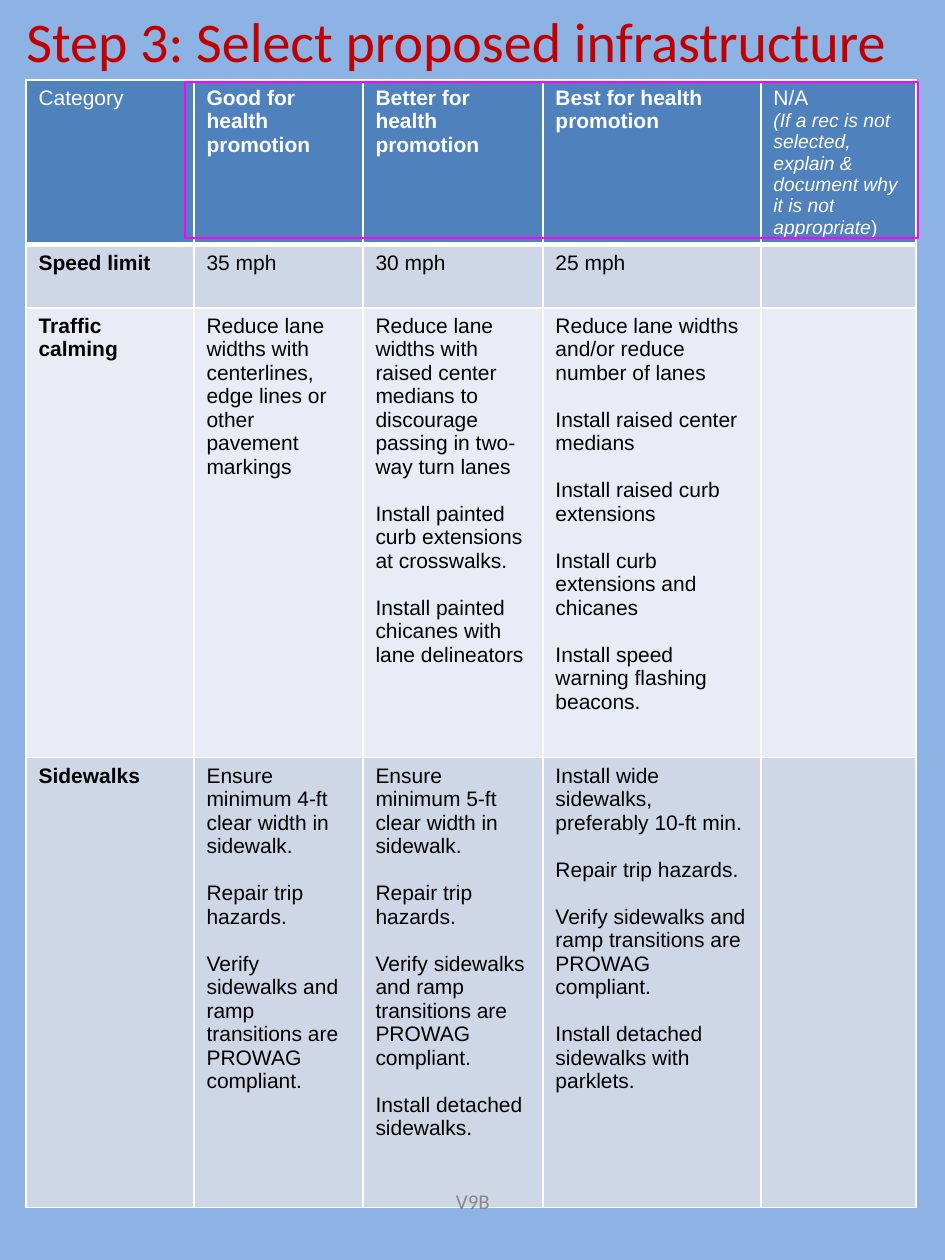
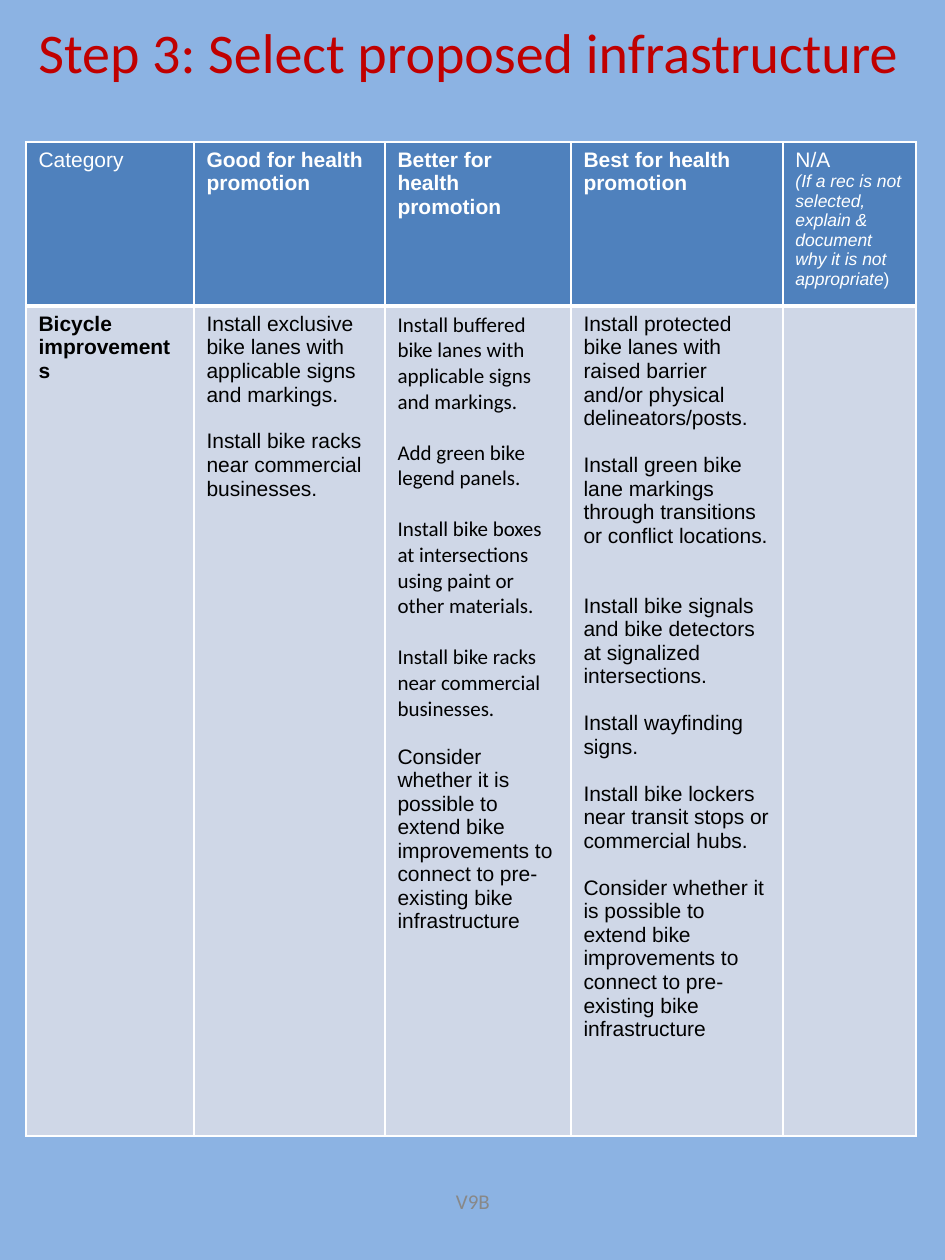
from dataclasses import dataclass

import lxml.etree
import pptx
import pptx.dml.color
import pptx.enum.shapes
import pptx.enum.text
import pptx.oxml.ns
import pptx.util

PX_PER_INCH = 126
SLIDE_WIDTH, SLIDE_HEIGHT = 945, 1260

SKY, BLUE, WHITE, BLACK = "8CB3E3", "4F81BD", "FFFFFF", "000000"
DARK_BAND, LIGHT_BAND = "CFD7E7", "E8ECF4"
RED, GREY, MAGENTA = "C00000", "888888", "FF00FF"

SANS, TITLE_FONT = "Arial", "Calibri"
LINE_GAP = 13.4
CALIBRI_GAP = 14.6

TITLE = "Step 3: Select proposed infrastructure"
VERSION = "V9B"
REPAIR = "Repair trip hazards."
PROWAG = "Verify sidewalks and ramp transitions are PROWAG compliant."
RACKS = "Install bike racks near commercial businesses."
EXTEND = ("Consider whether it is possible to extend bike improvements "
          "to connect to pre-existing bike infrastructure")


@dataclass(frozen=True)
class Box:
    left: int
    top: int
    width: int
    height: int


@dataclass(frozen=True)
class Run:
    text: str
    size: float = 12
    color: str = BLACK
    font: str = SANS
    bold: bool = False
    italic: bool = False


@dataclass(frozen=True)
class Paragraph:
    runs: tuple[Run, ...]
    gap: float = 0


Cell = list[Paragraph]


@dataclass(frozen=True)
class Row:
    height: int
    fill: str
    cells: list[Cell]
    bottom_line: int = 1


@dataclass(frozen=True)
class Page:
    title: Box
    table_left: int
    table_top: int
    columns: list[int]
    rows: list[Row]
    highlight: Box | None = None


def px(length: int) -> int:
    return round(length * 914400 / PX_PER_INCH)


def rgb(color: str) -> pptx.dml.color.RGBColor:
    return pptx.dml.color.RGBColor.from_string(color)


def place(box: Box) -> tuple[int, ...]:
    return px(box.left), px(box.top), px(box.width), px(box.height)


def plain(*texts: str) -> Cell:
    """Body paragraphs set one blank line apart."""
    return [Paragraph((Run(text),), LINE_GAP if index else 0)
            for index, text in enumerate(texts)]


def label(text: str, color: str = BLACK) -> Cell:
    return [Paragraph((Run(text, color=color, bold=True),))]


def body_row(height: int, fill: str, category: str, *choices: Cell) -> Row:
    return Row(height, fill, [label(category), *choices, []])


def header_row(height: int, note_size: float) -> Row:
    ratings = [label(f"{rating} for health promotion", WHITE)
               for rating in ("Good", "Better", "Best")]
    note = "(If a rec is not selected, explain & document why it is not appropriate"
    not_applicable = [
        Paragraph((Run("N/A", color=WHITE),)),
        Paragraph((Run(note, note_size, WHITE, italic=True),
                   Run(")", note_size, WHITE))),
    ]
    category = [Paragraph((Run("Category", color=WHITE),))]
    return Row(height, BLUE, [category, *ratings, not_applicable], bottom_line=3)


def write(frame, paragraphs: Cell,
          alignment=pptx.enum.text.PP_ALIGN.LEFT) -> None:
    for index, content in enumerate(paragraphs):
        paragraph = frame.add_paragraph() if index else frame.paragraphs[0]
        paragraph.alignment = alignment
        paragraph.space_before = pptx.util.Pt(content.gap)
        for piece in content.runs:
            run = paragraph.add_run()
            run.text = piece.text
            run.font.name = piece.font
            run.font.size = pptx.util.Pt(piece.size)
            run.font.bold = piece.bold
            run.font.italic = piece.italic
            run.font.color.rgb = rgb(piece.color)


def add_text(slide, box: Box, run: Run, **layout) -> None:
    frame = slide.shapes.add_textbox(*place(box)).text_frame
    frame.word_wrap = True
    frame.vertical_anchor = layout.pop("anchor", pptx.enum.text.MSO_ANCHOR.TOP)
    write(frame, [Paragraph((run,))], **layout)


def add_borders(cell, top: int, bottom: int) -> None:
    """Draw white cell edges; widths are in points."""
    qn = pptx.oxml.ns.qn
    properties = cell._tc.get_or_add_tcPr()
    edges = {"lnL": 1, "lnR": 1, "lnT": top, "lnB": bottom}
    for index, (tag, width) in enumerate(edges.items()):
        line = lxml.etree.Element(qn(f"a:{tag}"), w=str(pptx.util.Pt(width)))
        fill = lxml.etree.SubElement(line, qn("a:solidFill"))
        lxml.etree.SubElement(fill, qn("a:srgbClr"), val=WHITE)
        properties.insert(index, line)


def add_choices_table(slide, page: Page) -> None:
    box = Box(page.table_left, page.table_top, sum(page.columns),
              sum(row.height for row in page.rows))
    table = slide.shapes.add_table(
        len(page.rows), len(page.columns), *place(box)).table
    table.horz_banding = False
    for column, width in zip(table.columns, page.columns):
        column.width = px(width)
    top_line = 1
    for table_row, row in zip(table.rows, page.rows):
        table_row.height = px(row.height)
        for cell, paragraphs in zip(table_row.cells, row.cells):
            cell.fill.solid()
            cell.fill.fore_color.rgb = rgb(row.fill)
            add_borders(cell, top_line, row.bottom_line)
            write(cell.text_frame, paragraphs)
        top_line = row.bottom_line


def add_highlight(slide, box: Box) -> None:
    shape = slide.shapes.add_shape(
        pptx.enum.shapes.MSO_SHAPE.RECTANGLE, *place(box))
    shape.shadow.inherit = False
    shape.fill.background()
    shape.line.color.rgb = rgb(MAGENTA)
    shape.line.width = pptx.util.Pt(1.5)


def add_page(presentation, page: Page) -> None:
    slide = presentation.slides.add_slide(presentation.slide_layouts[6])
    slide.background.fill.solid()
    slide.background.fill.fore_color.rgb = rgb(SKY)
    add_choices_table(slide, page)
    add_text(slide, page.title, Run(TITLE, 32, RED, TITLE_FONT))
    if page.highlight:
        add_highlight(slide, page.highlight)
    add_text(slide, Box(323, 1168, 300, 67), Run(VERSION, 12, GREY, TITLE_FONT),
             anchor=pptx.enum.text.MSO_ANCHOR.MIDDLE,
             alignment=pptx.enum.text.PP_ALIGN.CENTER)


BUFFERED_LANES = [
    Paragraph((Run(text, font=TITLE_FONT),), CALIBRI_GAP if index else 0)
    for index, text in enumerate((
        "Install buffered bike lanes with applicable signs and markings.",
        "Add green bike legend panels.",
        "Install bike boxes at intersections using paint or other materials.",
        RACKS))
] + [Paragraph((Run(EXTEND),), LINE_GAP)]

PROTECTED_LANES = [
    *plain("Install protected bike lanes with raised barrier and/or "
           "physical delineators/posts.",
           "Install green bike lane markings through transitions or "
           "conflict locations."),
    Paragraph((Run("Install bike signals and bike detectors at signalized "
                   "intersections."),), 2 * LINE_GAP),
    *(Paragraph((Run(text),), LINE_GAP) for text in (
        "Install wayfinding signs.",
        "Install bike lockers near transit stops or commercial hubs.",
        EXTEND)),
]

PAGES = [
    Page(
        title=Box(14, 0, 916, 81),
        table_left=26, table_top=80, columns=[168, 169, 180, 218, 155],
        rows=[
            header_row(162, 11),
            body_row(63, DARK_BAND, "Speed limit",
                     plain("35 mph"), plain("30 mph"), plain("25 mph")),
            body_row(
                450, LIGHT_BAND, "Traffic calming",
                plain("Reduce lane widths with centerlines, edge lines or "
                      "other pavement markings"),
                plain("Reduce lane widths with raised center medians to "
                      "discourage passing in two-way turn lanes",
                      "Install painted curb extensions at crosswalks.",
                      "Install painted chicanes with lane delineators"),
                plain("Reduce lane widths and/or reduce number of lanes",
                      "Install raised center medians",
                      "Install raised curb extensions",
                      "Install curb extensions and chicanes",
                      "Install speed warning flashing beacons.")),
            body_row(
                450, DARK_BAND, "Sidewalks",
                plain("Ensure minimum 4-ft clear width in sidewalk.",
                      REPAIR, PROWAG),
                plain("Ensure minimum 5-ft clear width in sidewalk.",
                      REPAIR, PROWAG, "Install detached sidewalks."),
                plain("Install wide sidewalks, preferably 10-ft min.",
                      REPAIR, PROWAG,
                      "Install detached sidewalks with parklets.")),
        ],
        highlight=Box(185, 82, 733, 156),
    ),
    Page(
        title=Box(26, 11, 905, 81),
        table_left=26, table_top=142, columns=[168, 191, 186, 212, 133],
        rows=[
            header_row(153, 10),
            body_row(
                830, DARK_BAND, "Bicycle improvements",
                plain("Install exclusive bike lanes with applicable signs "
                      "and markings.", RACKS),
                BUFFERED_LANES, PROTECTED_LANES),
        ],
    ),
]


def main() -> None:
    presentation = pptx.Presentation()
    presentation.slide_width = px(SLIDE_WIDTH)
    presentation.slide_height = px(SLIDE_HEIGHT)
    for page in PAGES:
        add_page(presentation, page)
    presentation.save("out.pptx")


if __name__ == "__main__":
    main()
